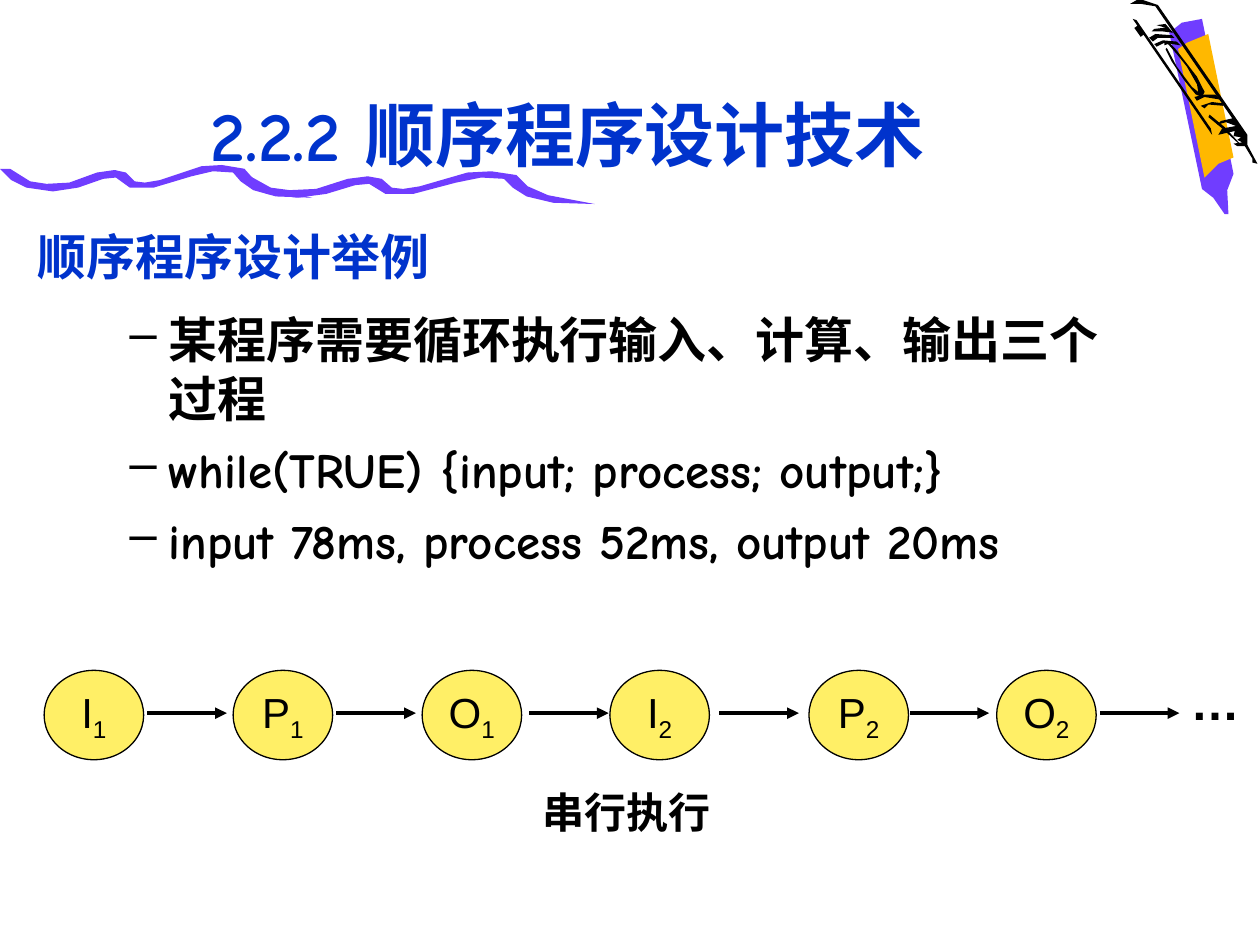
from dataclasses import dataclass, field

import lxml.etree
import pptx
import pptx.dml.color
import pptx.enum.shapes
import pptx.enum.text
import pptx.oxml.ns
import pptx.util

PX = 9144  # EMU per px: the page is 1000 x 750 px
ALIGN = pptx.enum.text.PP_ALIGN
ANCHOR = pptx.enum.text.MSO_ANCHOR
Point = tuple[int, int]


@dataclass(frozen=True)
class Theme:
    black: str = "000000"
    blue: str = "0033CC"
    purple: str = "703DFF"
    orange: str = "FFB800"
    yellow: str = "FFEF66"
    hand: str = "Comic Neue"
    plain: str = "Arial"
    title: int = 40
    body: int = 28
    label: int = 24


THEME = Theme()


@dataclass(frozen=True)
class TextBox:
    left: int
    top: int
    width: int
    height: int
    lines: tuple[str, ...]
    size: int
    face: str
    color: str
    bulleted: bool = False
    frame: dict = field(default_factory=dict)
    para: dict = field(default_factory=dict)


@dataclass(frozen=True)
class Step:
    letter: str
    index: str
    left: int
    arrow_left: int


@dataclass(frozen=True)
class Outline:
    color: str
    points: tuple[Point, ...]


WAVE = (
    (8, 134), (24, 144), (37, 146), (55, 145), (77, 137), (91, 135), (100, 137), (107, 144),
    (115, 145), (127, 143), (160, 132), (176, 131), (194, 134), (202, 143), (216, 150),
    (248, 157), (219, 156), (201, 151), (191, 144), (185, 137), (169, 136), (152, 140),
    (122, 149), (103, 149), (92, 141), (82, 142), (62, 149), (42, 152), (21, 149),
    (9, 143), (0, 134))
WIDE_WAVE = tuple((round(188 + x * 284 / 248), y + 5) for x, y in WAVE)

PENCIL = (
    Outline(THEME.purple, (
        (928, 26), (954, 150), (963, 157), (972, 170), (975, 170), (974, 151), (979, 138),
        (954, 15), (938, 18))),
    Outline(THEME.orange, (
        (956, 141), (967, 130), (979, 125), (959, 27), (942, 34), (935, 39))),
    Outline(THEME.purple, WAVE),
    Outline(THEME.purple, WIDE_WAVE),
)
STROKES = tuple(Outline(THEME.black, points) for points in (
    ((959, 93), (970, 102), (984, 115), (984, 114), (972, 101), (960, 91)),
    ((914, 25), (923, 25), (931, 26), (925, 19), (918, 20), (925, 22), (916, 23)),
    ((925, 39), (930, 49), (940, 64), (949, 75), (954, 77), (956, 73), (950, 61), (940, 48),
     (933, 39), (927, 33), (924, 33), (924, 36), (927, 35), (934, 43), (942, 53), (950, 67),
     (951, 73), (946, 69), (934, 53), (926, 38)),
    ((899, 15), (962, 107), (961, 102), (902, 16)),
    ((967, 107), (970, 102), (981, 100), (973, 97), (966, 99), (969, 96), (978, 94), (917, 5),
     (905, 3), (897, 3), (904, -1), (919, 4), (990, 107), (990, 115), (998, 130), (994, 129),
     (994, 126), (988, 116), (982, 116), (979, 114), (986, 113), (982, 111), (985, 109),
     (979, 108), (980, 104)),
    ((956, 86), (959, 83), (971, 84), (970, 82), (962, 81), (953, 84)),
    ((950, 80), (956, 77), (968, 79), (965, 75), (956, 75), (948, 77)),
    ((918, 37), (924, 34), (937, 36), (934, 33), (923, 32), (916, 35)),
    ((915, 33), (919, 30), (932, 30), (930, 28), (917, 27), (912, 30)),
))

STEPS = (
    Step("I", "1", 35, 117), Step("P", "1", 185, 267), Step("O", "1", 335, 420),
    Step("I", "2", 484, 571), Step("P", "2", 642, 722), Step("O", "2", 791, 873),
)
STEP_TOP, STEP_WIDTH, STEP_HEIGHT = 532, 79, 71
ARROW_Y, ARROW_LENGTH = 566, 63

BOTTOM = {"vertical_anchor": ANCHOR.BOTTOM}
TEXTS = (
    TextBox(20, 139, 751, 92, ("顺序程序设计举例",), THEME.body, THEME.hand, THEME.blue,
            frame=BOTTOM),
    TextBox(43, 241, 850, 450, (
        "某程序需要循环执行输入、计算、输出三个过程",
        "while(TRUE) {input; process; output;}",
        "input 78ms, process 52ms, output 20ms",
    ), THEME.body, THEME.hand, THEME.black, bulleted=True),
    TextBox(935, 528, 59, 57, ("…",), THEME.body, THEME.plain, THEME.black),
    TextBox(421, 619, 331, 50, ("串行执行",), THEME.label, THEME.plain, THEME.black),
    TextBox(75, 52, 751, 92, ("2.2.2 顺序程序设计技术",), THEME.title, THEME.hand, THEME.blue,
            frame=BOTTOM, para={"alignment": ALIGN.CENTER}),
)


def px(value: int) -> pptx.util.Emu:
    return pptx.util.Emu(value * PX)


def rgb(color: str) -> pptx.dml.color.RGBColor:
    return pptx.dml.color.RGBColor.from_string(color)


def apply_format(target, values: dict) -> None:
    for name, value in values.items():
        setattr(target, name, value)


def add_child(parent, tag: str, **attributes: str):
    return lxml.etree.SubElement(parent, pptx.oxml.ns.qn(tag), attributes)


def add_span(para, text: str, size: int, face: str, color: str, bold: bool):
    span = para.add_run()
    span.text = text
    apply_format(span.font, {"size": pptx.util.Pt(size), "name": face, "bold": bold})
    span.font.color.rgb = rgb(color)
    return span


def add_bullet(para) -> None:
    """Give the paragraph a hanging dash."""
    props = para._p.get_or_add_pPr()
    props.set("marL", str(px(81)))
    props.set("indent", str(px(-31)))
    add_child(add_child(props, "a:buClr"), "a:srgbClr", val=THEME.black)
    add_child(props, "a:buChar", char="–")


def draw_text(page, item: TextBox) -> None:
    box = page.shapes.add_textbox(px(item.left), px(item.top), px(item.width), px(item.height))
    frame = box.text_frame
    apply_format(frame, {"word_wrap": True, **item.frame})
    for number, line in enumerate(item.lines):
        para = frame.add_paragraph() if number else frame.paragraphs[0]
        if item.bulleted:
            add_bullet(para)
        if number:
            para.space_before = pptx.util.Pt(7)
        apply_format(para, item.para)
        add_span(para, line, item.size, item.face, item.color, bold=True)


def draw_outline(page, outline: Outline) -> None:
    start, *rest = outline.points
    builder = page.shapes.build_freeform(*start, scale=PX)
    builder.add_line_segments(rest, close=True)
    shape = builder.convert_to_shape()
    shape.shadow.inherit = False
    shape.fill.solid()
    shape.fill.fore_color.rgb = rgb(outline.color)
    shape.line.fill.background()


def draw_line(page, start: Point, end: Point, weight: float, arrow: bool = False) -> None:
    line = page.shapes.add_connector(
        pptx.enum.shapes.MSO_CONNECTOR.STRAIGHT, *map(px, start + end))
    line.line.width = pptx.util.Pt(weight)
    line.line.color.rgb = rgb(THEME.black)
    if arrow:
        add_child(line.line._get_or_add_ln(), "a:tailEnd", type="triangle")
    add_child(line._element.spPr, "a:effectLst")


def draw_step(page, step: Step) -> None:
    circle = page.shapes.add_shape(
        pptx.enum.shapes.MSO_SHAPE.OVAL,
        px(step.left), px(STEP_TOP), px(STEP_WIDTH), px(STEP_HEIGHT))
    circle.shadow.inherit = False
    circle.fill.solid()
    circle.fill.fore_color.rgb = rgb(THEME.yellow)
    circle.line.color.rgb = rgb(THEME.black)
    circle.line.width = pptx.util.Pt(0.75)
    apply_format(circle.text_frame, {"word_wrap": False, "vertical_anchor": ANCHOR.MIDDLE})
    para = circle.text_frame.paragraphs[0]
    para.alignment = ALIGN.CENTER
    style = (THEME.label, THEME.plain, THEME.black, False)
    add_span(para, step.letter, *style)
    subscript = add_span(para, step.index, *style)
    subscript._r.get_or_add_rPr().set("baseline", "-25000")


def main() -> None:
    deck = pptx.Presentation()
    apply_format(deck, {"slide_width": px(1000), "slide_height": px(750)})
    page = deck.slides.add_slide(deck.slide_layouts[6])
    for outline in PENCIL + STROKES:
        draw_outline(page, outline)
    draw_line(page, (902, 21), (907, 28), 3)
    for step in STEPS:
        draw_step(page, step)
        draw_line(page, (step.arrow_left, ARROW_Y),
                  (step.arrow_left + ARROW_LENGTH, ARROW_Y), 2.25, arrow=True)
    for item in TEXTS:
        draw_text(page, item)
    deck.save("out.pptx")


if __name__ == "__main__":
    main()
